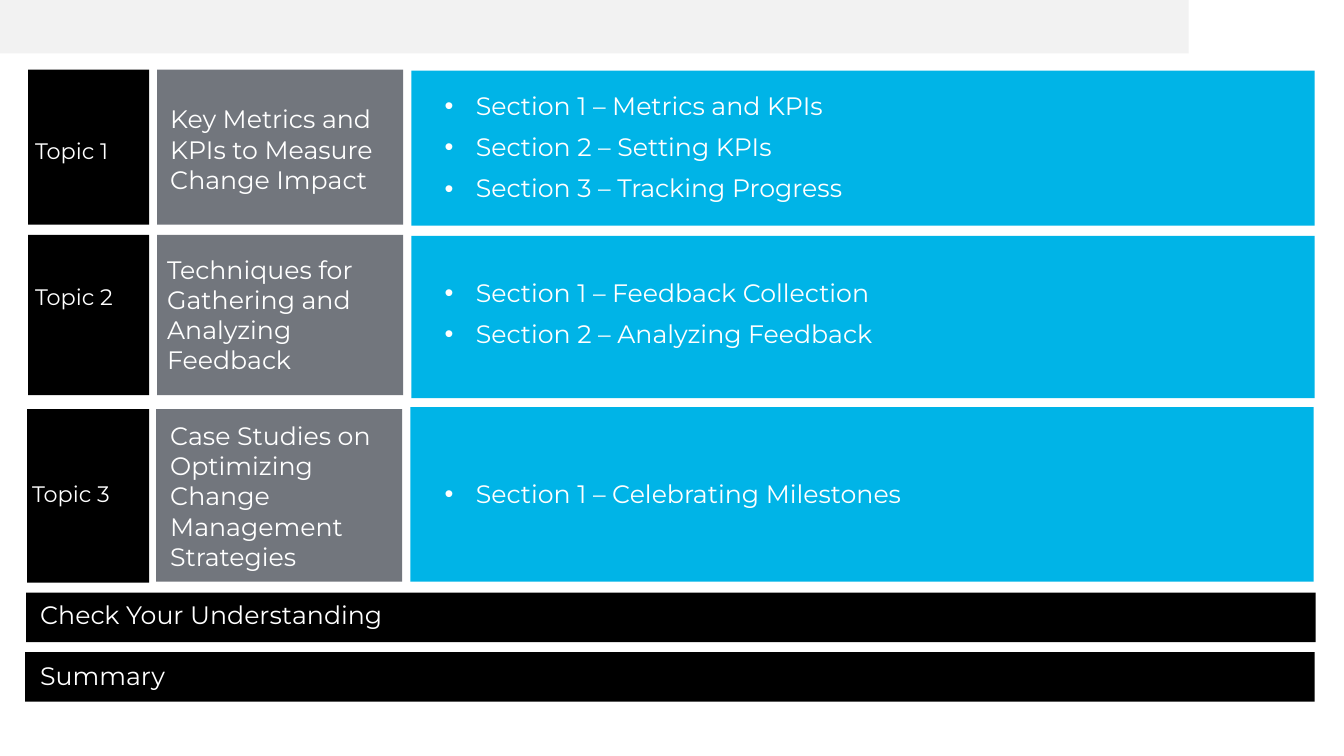
"""Build the agenda slide: three topics with their sections, then two closing bars."""

from dataclasses import dataclass

from lxml.etree import SubElement
from pptx import Presentation
from pptx.dml.color import RGBColor
from pptx.enum.shapes import MSO_SHAPE
from pptx.enum.text import MSO_ANCHOR, MSO_AUTO_SIZE, PP_ALIGN
from pptx.oxml.ns import qn
from pptx.shapes.base import BaseShape
from pptx.slide import Slide
from pptx.text.text import TextFrame, _Paragraph
from pptx.util import Inches, Pt


@dataclass(frozen=True)
class Theme:
    font: str = "Montserrat"
    text: RGBColor = RGBColor(0xFF, 0xFF, 0xFF)
    band: RGBColor = RGBColor(0xF2, 0xF2, 0xF2)
    dark: RGBColor = RGBColor(0x00, 0x00, 0x00)
    gray: RGBColor = RGBColor(0x72, 0x76, 0x7D)
    blue: RGBColor = RGBColor(0x00, 0xB4, 0xE7)
    label_size: int = 16
    body_size: int = 18
    section_gap: int = 10
    section_spacing: float = 0.9
    bullet_indent: float = 0.31


@dataclass(frozen=True)
class Box:
    left: float
    top: float
    width: float
    height: float


@dataclass(frozen=True)
class Label:
    text: str
    box: Box


@dataclass(frozen=True)
class Topic:
    label: Label
    summary: Label
    sections: tuple[str, ...]
    sections_box: Box
    label_panel: Box
    summary_panel: Box
    sections_panel: Box


@dataclass(frozen=True)
class Bar:
    panel: Box
    label: Label


THEME = Theme()
HEADER_BAND = Box(0, 0, 11.79, 0.53)

TOPICS = (
    Topic(
        Label("Topic 1", Box(0.25, 1.31, 1.29, 0.37)),
        Label("Key Metrics and KPIs to Measure Change Impact", Box(1.59, 0.98, 2.4, 1.01)),
        ("Section 1 – Metrics and KPIs", "Section 2 – Setting KPIs", "Section 3 – Tracking Progress"),
        Box(4.31, 0.88, 7.84, 1.2),
        Box(0.28, 0.69, 1.2, 1.54),
        Box(1.56, 0.69, 2.44, 1.54),
        Box(4.08, 0.7, 8.96, 1.54),
    ),
    Topic(
        Label("Topic 2", Box(0.25, 2.76, 1.29, 0.37)),
        Label("Techniques for Gathering and Analyzing Feedback", Box(1.56, 2.47, 2.36, 1.31)),
        ("Section 1 – Feedback Collection", "Section 2 – Analyzing Feedback"),
        Box(4.31, 2.73, 7.84, 0.79),
        Box(0.28, 2.33, 1.2, 1.59),
        Box(1.56, 2.33, 2.44, 1.59),
        Box(4.08, 2.34, 8.96, 1.61),
    ),
    Topic(
        Label("Topic 3", Box(0.22, 4.71, 1.29, 0.37)),
        Label("Case Studies on Optimizing Change Management Strategies", Box(1.59, 4.12, 2.27, 1.62)),
        ("Section 1 – Celebrating Milestones",),
        Box(4.31, 4.73, 7.84, 0.37),
        Box(0.27, 4.06, 1.21, 1.72),
        Box(1.55, 4.06, 2.44, 1.71),
        Box(4.07, 4.04, 8.96, 1.73),
    ),
)

BARS = (
    Bar(Box(0.26, 5.88, 12.79, 0.49), Label("Check Your Understanding", Box(0.3, 5.9, 4.24, 0.67))),
    Bar(Box(0.25, 6.47, 12.79, 0.49), Label("Summary", Box(0.3, 6.5, 4.24, 0.4))),
)


def lengths(box: Box) -> tuple[int, int, int, int]:
    return Inches(box.left), Inches(box.top), Inches(box.width), Inches(box.height)


def add_panel(slide: Slide, box: Box, color: RGBColor) -> None:
    shape = slide.shapes.add_shape(MSO_SHAPE.RECTANGLE, *lengths(box))
    shape.shadow.inherit = False
    shape.fill.solid()
    shape.fill.fore_color.rgb = color
    shape.line.fill.background()


def add_text(paragraph: _Paragraph, text: str, size: int) -> None:
    paragraph.alignment = PP_ALIGN.LEFT
    run = paragraph.add_run()
    run.text = text
    run.font.name = THEME.font
    run.font.size = Pt(size)
    run.font.bold = False
    run.font.color.rgb = THEME.text


def set_frame(text_frame: TextFrame) -> None:
    text_frame.word_wrap = True
    text_frame.auto_size = MSO_AUTO_SIZE.SHAPE_TO_FIT_TEXT
    text_frame.vertical_anchor = MSO_ANCHOR.TOP


def add_label(slide: Slide, label: Label, size: int) -> None:
    text_frame = slide.shapes.add_textbox(*lengths(label.box)).text_frame
    set_frame(text_frame)
    add_text(text_frame.paragraphs[0], label.text, size)


def add_bullet(paragraph: _Paragraph) -> None:
    properties = paragraph._p.get_or_add_pPr()
    indent = Inches(THEME.bullet_indent)
    properties.set("marL", str(indent))
    properties.set("indent", str(-indent))
    SubElement(properties, qn("a:buFont")).set("typeface", "Arial")
    SubElement(properties, qn("a:buChar")).set("char", "•")


def fill_sections(slide: Slide, placeholder: BaseShape, topic: Topic) -> None:
    slide.shapes._spTree.append(placeholder._element)
    placeholder.left, placeholder.top, placeholder.width, placeholder.height = lengths(topic.sections_box)
    text_frame = placeholder.text_frame
    set_frame(text_frame)
    for index, section in enumerate(topic.sections):
        paragraph = text_frame.add_paragraph() if index else text_frame.paragraphs[0]
        add_bullet(paragraph)
        paragraph.line_spacing = THEME.section_spacing
        paragraph.space_before = Pt(THEME.section_gap if index else 0)
        add_text(paragraph, section, THEME.body_size)


def add_topic(slide: Slide, topic: Topic, placeholder: BaseShape) -> None:
    add_panel(slide, topic.label_panel, THEME.dark)
    add_panel(slide, topic.summary_panel, THEME.gray)
    add_panel(slide, topic.sections_panel, THEME.blue)
    add_label(slide, topic.label, THEME.label_size)
    add_label(slide, topic.summary, THEME.body_size)
    fill_sections(slide, placeholder, topic)


def main() -> None:
    presentation = Presentation()
    presentation.slide_width = Inches(13.33)
    presentation.slide_height = Inches(7.5)
    comparison_layout = presentation.slide_layouts.get_by_name("Comparison")
    slide = presentation.slides.add_slide(comparison_layout)
    title, *bodies = list(slide.placeholders)
    for unused in (title, *bodies[len(TOPICS):]):
        unused._element.getparent().remove(unused._element)

    add_panel(slide, HEADER_BAND, THEME.band)
    for topic, placeholder in zip(TOPICS, bodies):
        add_topic(slide, topic, placeholder)
    for bar in BARS:
        add_panel(slide, bar.panel, THEME.dark)
    for bar in BARS:
        add_label(slide, bar.label, THEME.body_size)
    presentation.save("out.pptx")


if __name__ == "__main__":
    main()
